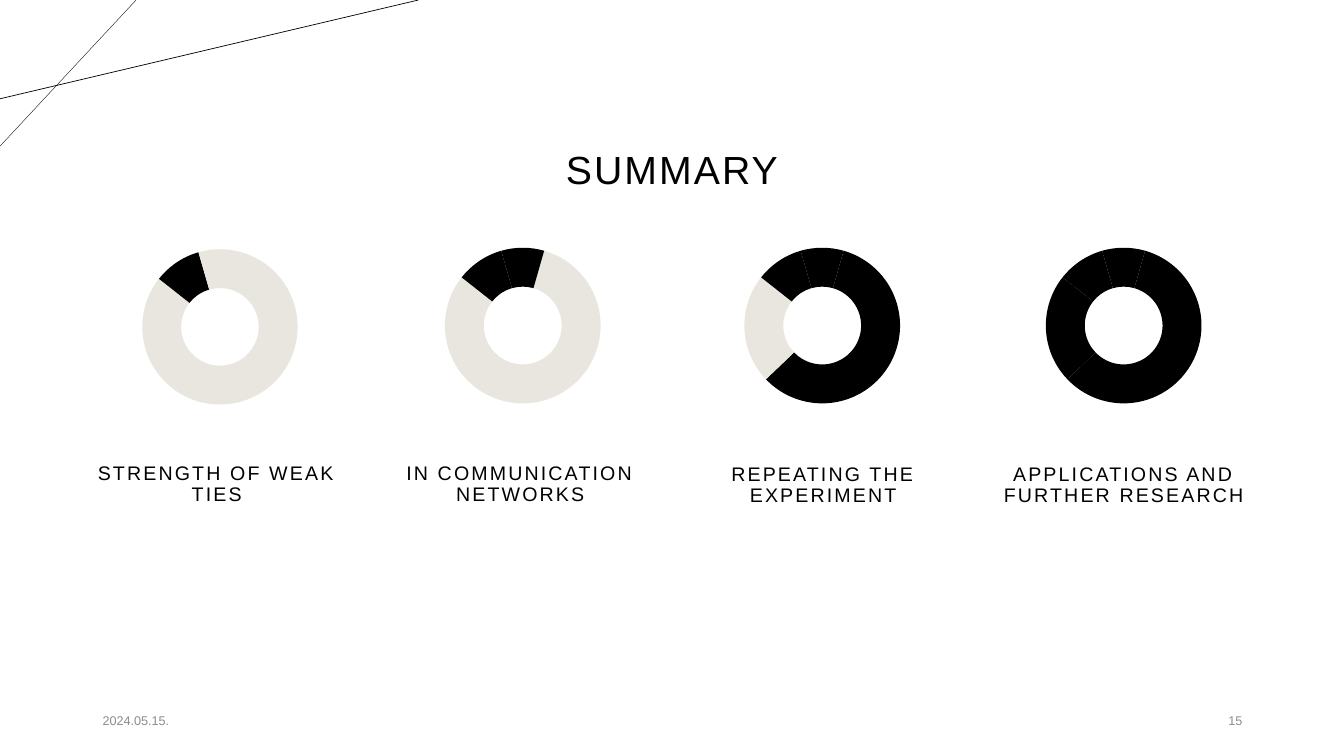
import pptx
import pptx.util
import pptx.dml.color
import pptx.chart.data
import pptx.enum.chart
import pptx.enum.shapes
import pptx.enum.text
from lxml import etree
from pptx.oxml.ns import qn

Inches, Pt = pptx.util.Inches, pptx.util.Pt
ALIGN = pptx.enum.text.PP_ALIGN
ANCHOR = pptx.enum.text.MSO_ANCHOR

# Content
FONT = "Arial"
BLACK, SAND, GRAY = "000000", "E9E6DF", "8C8C8C"
TITLE = "SUMMARY"
DATE, NUMBER = "2024.05.15.", "15"
CATEGORIES = ["1", "2", "3", "4"]
SHARES = [59, 23, 10, 9]
# label, label box (left, top, width), chart left, black slices
TOPICS = [
    ("STRENGTH OF WEAK TIES", (0.92, 4.59, 2.46), 1.18, {2}),
    ("IN COMMUNICATION NETWORKS", (3.88, 4.59, 2.56), 4.17, {2, 3}),
    ("REPEATING THE EXPERIMENT", (6.89, 4.6, 2.55), 7.14, {0, 2, 3}),
    ("APPLICATIONS AND FURTHER RESEARCH", (9.87, 4.6, 2.55), 10.13, {0, 1, 2, 3}),
]
FIRST_PLOT = {"x": 0.114, "y": 0.084, "w": 0.759, "h": 0.847}
# start, end, width in points
CORNER_LINES = [((1.35, 0), (0, 1.45), 0.25), ((4.15, 0), (0, 0.98), 0.5)]


def color(value):
    return pptx.dml.color.RGBColor.from_string(value)


def add_line(s, start, end, width):
    ends = [Inches(v) for v in start + end]
    sp = s.shapes.add_connector(pptx.enum.shapes.MSO_CONNECTOR.STRAIGHT, *ends)
    sp.line.color.rgb = color(BLACK)
    sp.line.width = Pt(width)
    etree.SubElement(sp._element.spPr, qn("a:effectLst"))


def add_text(s, box, text, size, fill, align, anchor=ANCHOR.MIDDLE, side=0.1,
             spacing=None, line=None, before=None):
    sp = s.shapes.add_textbox(*[Inches(v) for v in box])
    tf = sp.text_frame
    tf.word_wrap = True
    tf.vertical_anchor = anchor
    tf.margin_left = tf.margin_right = Inches(side)
    p = tf.paragraphs[0]
    p.alignment = align
    if line:
        p.line_spacing = line
    if before:
        p.space_before = Pt(before)
    r = p.add_run()
    r.text = text
    r.font.name = FONT
    r.font.size = Pt(size)
    r.font.color.rgb = color(fill)
    if spacing:
        r._r.get_or_add_rPr().set("spc", str(int(spacing * 100)))


def add_doughnut(s, left, black_slices, plot=None):
    data = pptx.chart.data.CategoryChartData()
    data.categories = CATEGORIES
    data.add_series("Series 1", SHARES)
    chart = s.shapes.add_chart(
        pptx.enum.chart.XL_CHART_TYPE.DOUGHNUT, Inches(left), Inches(2.32),
        Inches(2.03), Inches(1.82), data).chart
    chart.has_legend = False
    chart.has_title = False
    chart.font.name = FONT
    chart.font.size = Pt(10)
    chart.font.color.rgb = color(BLACK)
    ring = chart.plots[0]
    ring.vary_by_categories = True
    for i in range(len(SHARES)):
        point = ring.series[0].points[i].format
        point.fill.solid()
        point.fill.fore_color.rgb = color(BLACK if i in black_slices else SAND)
        point.line.fill.background()

    # Rotation, hole and plot position
    area = chart._chartSpace.find(".//" + qn("c:plotArea"))
    area.find(".//" + qn("c:firstSliceAng")).set("val", "16")
    area.find(".//" + qn("c:holeSize")).set("val", "80")
    if plot:
        layout = area.find(qn("c:layout"))
        if layout is None:
            layout = etree.Element(qn("c:layout"))
            area.insert(0, layout)
        manual = etree.SubElement(layout, qn("c:manualLayout"))
        settings = {"layoutTarget": "inner", "xMode": "edge", "yMode": "edge", **plot}
        for name, value in settings.items():
            etree.SubElement(manual, qn("c:" + name)).set("val", str(value))


def main():
    prs = pptx.Presentation()
    prs.slide_width, prs.slide_height = Inches(13.33), Inches(7.5)
    s = prs.slides.add_slide(prs.slide_layouts[6])

    # Corner lines and title
    for start, end, width in CORNER_LINES:
        add_line(s, start, end, width)
    add_text(s, (2.06, 0.98, 9.21, 1.45), TITLE, 28, BLACK, ALIGN.CENTER,
             spacing=1.5, line=0.9)

    # Progress rings with labels
    for i, (label, box, left, black_slices) in enumerate(TOPICS):
        add_doughnut(s, left, black_slices, FIRST_PLOT if i == 0 else None)
        add_text(s, box + (0.48,), label, 14, BLACK, ALIGN.CENTER, ANCHOR.BOTTOM,
                 side=0, spacing=1.5, line=0.9, before=10)

    # Footer
    add_text(s, (0.92, 6.95, 3, 0.4), DATE, 9, GRAY, ALIGN.LEFT)
    add_text(s, (9.42, 6.95, 3, 0.4), NUMBER, 9, GRAY, ALIGN.RIGHT)
    prs.save("out.pptx")


if __name__ == "__main__":
    main()
